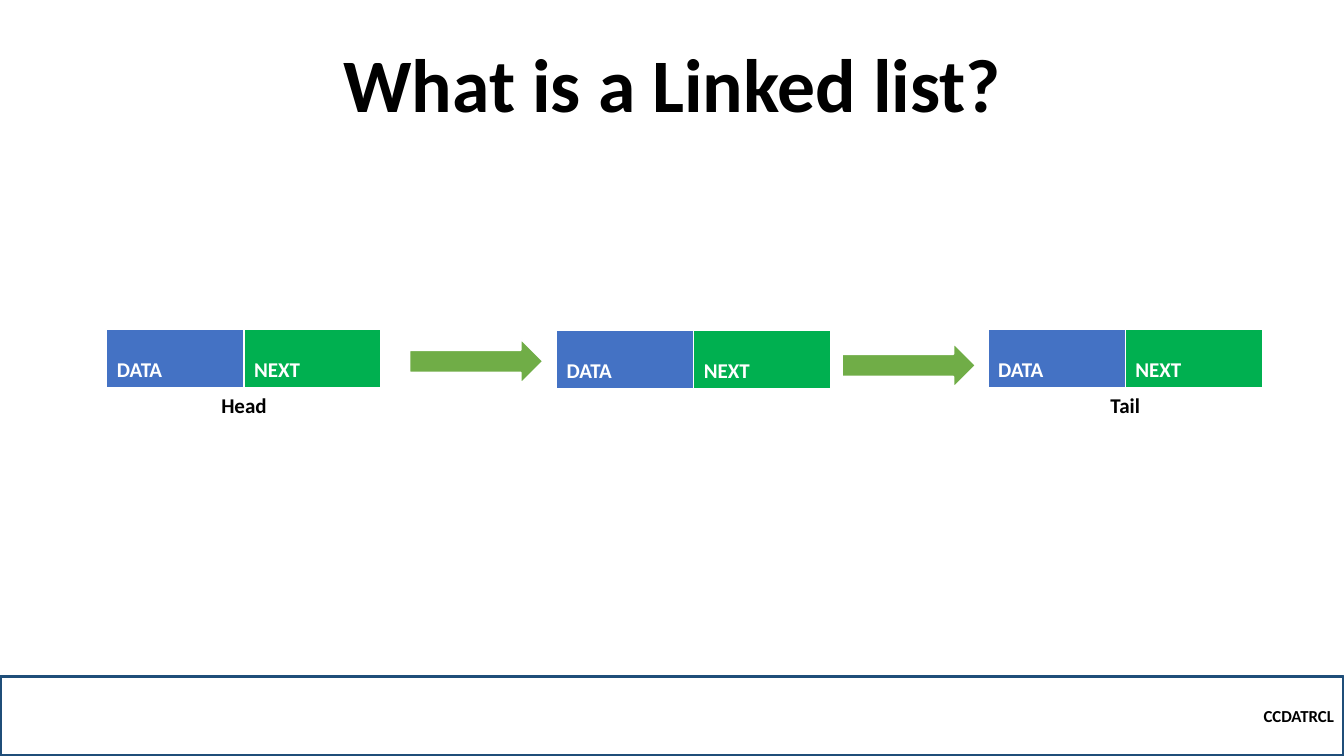
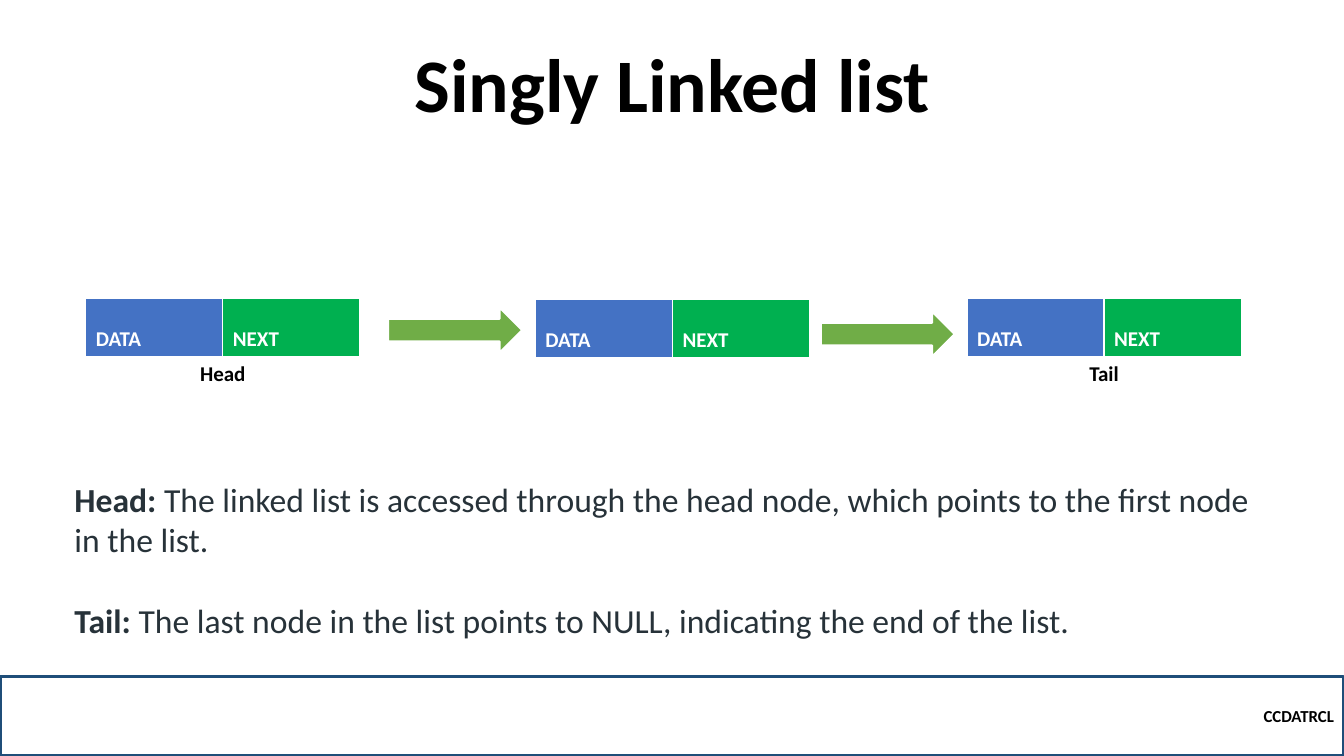
from pptx import Presentation
from pptx.dml.color import RGBColor
from pptx.enum.shapes import MSO_SHAPE as Shape
from pptx.enum.text import MSO_ANCHOR as Anchor, MSO_AUTO_SIZE as Fit, PP_ALIGN as Align
from pptx.util import Inches, Pt

WIDE, HIGH = 13.33, 7.5
FONT = "Calibri"
INK = {"black": "000000", "white": "FFFFFF", "body": "273239", "navy": "1F4E79",
       "blue": "4472C4", "green": "00B050", "arrow": "70AD47"}

FOOTER = "CCDATRCL"
FIELDS = [("DATA", "blue"), ("NEXT", "green")]
# Offsets from the top left corner of the chain
NODES = [(0, 0, "Head"), (4.46, 0.01, ""), (8.74, 0, "Tail")]
ARROWS = [(3, 0.09), (7.29, 0.13)]
CELL_W, CELL_H = 1.36, 0.58

SLIDES = [
    {"title": "What is a Linked list?", "chain": (1.06, 3.27), "notes": []},
    {"title": "Singly Linked list", "chain": (0.85, 2.96), "notes": [
        ("Head: ", "The linked list is accessed through the head node, "
                   "which points to the first node in the list."),
        ("Tail: ", "The last node in the list points to NULL, "
                   "indicating the end of the list."),
    ]},
]


def color(name):
    return RGBColor.from_string(INK[name])


def box(*sizes):
    return [Inches(size) for size in sizes]


def style(run, size, ink, bold=True):
    font = run.font
    font.name, font.size, font.bold = FONT, Pt(size), bold
    font.color.rgb = color(ink)


def write(frame, text, size, ink, align):
    """Fill a text frame with one bold paragraph."""
    frame.text = text
    para = frame.paragraphs[0]
    para.alignment = align
    for run in para.runs:
        style(run, size, ink)
    return para


def add_title(slide, text):
    title = slide.shapes.title
    title.left, title.top, title.width, title.height = box(1.67, 0.54, 10, 0.79)
    frame = title.text_frame
    frame.auto_size = Fit.NONE
    frame.vertical_anchor = Anchor.BOTTOM
    write(frame, text, 54, "black", Align.CENTER).line_spacing = 0.9


def add_footer(slide):
    tall = 0.79
    band = slide.shapes.add_shape(Shape.RECTANGLE, *box(0, HIGH - tall, WIDE, tall))
    band.shadow.inherit = False
    band.fill.background()
    band.line.color.rgb = color("navy")
    band.line.width = Pt(2.25)
    band.text_frame.vertical_anchor = Anchor.MIDDLE
    write(band.text_frame, FOOTER, 12, "black", Align.RIGHT)


def fill_cell(cell, text, fill, ink, align):
    cell.fill.solid()
    cell.fill.fore_color.rgb = color(fill)
    write(cell.text_frame, text, 15, ink, align)


def add_node(slide, left, top, label):
    frame = slide.shapes.add_table(2, 2, *box(left, top, 2 * CELL_W, 2 * CELL_H))
    table = frame.table
    table.horz_banding = False
    for col, (text, fill) in enumerate(FIELDS):
        cell = table.cell(0, col)
        fill_cell(cell, text, fill, "white", Align.LEFT)
        cell.vertical_anchor = Anchor.BOTTOM
    table.cell(1, 0).merge(table.cell(1, 1))
    fill_cell(table.cell(1, 0), label, "white", "black", Align.CENTER)


def add_arrow(slide, left, top):
    arrow = slide.shapes.add_shape(Shape.RIGHT_ARROW, *box(left, top, 1.33, 0.45))
    arrow.shadow.inherit = False
    arrow.fill.solid()
    arrow.fill.fore_color.rgb = color("arrow")
    arrow.line.color.rgb = color("white")
    arrow.line.width = Pt(1.5)


def add_chain(slide, left, top):
    for x, y, label in NODES:
        add_node(slide, left + x, top + y, label)
    for x, y in ARROWS:
        add_arrow(slide, left + x, top + y)


def add_notes(slide, notes):
    frame = slide.shapes.add_textbox(*box(0.64, 4.7, 12.05, 1.72)).text_frame
    frame.word_wrap = True
    for i, (term, text) in enumerate(notes):
        para = frame.add_paragraph() if i else frame.paragraphs[0]
        if i:
            para.space_before = Pt(29)
        for part, bold in ((term, True), (text, False)):
            run = para.add_run()
            run.text = part
            style(run, 24, "body", bold)


def main():
    deck = Presentation()
    deck.slide_width, deck.slide_height = box(WIDE, HIGH)
    layout = deck.slide_layouts.get_by_name("Title Only")
    for page in SLIDES:
        slide = deck.slides.add_slide(layout)
        add_title(slide, page["title"])
        add_footer(slide)
        if page["notes"]:
            add_notes(slide, page["notes"])
        add_chain(slide, *page["chain"])
    deck.save("out.pptx")


if __name__ == "__main__":
    main()
